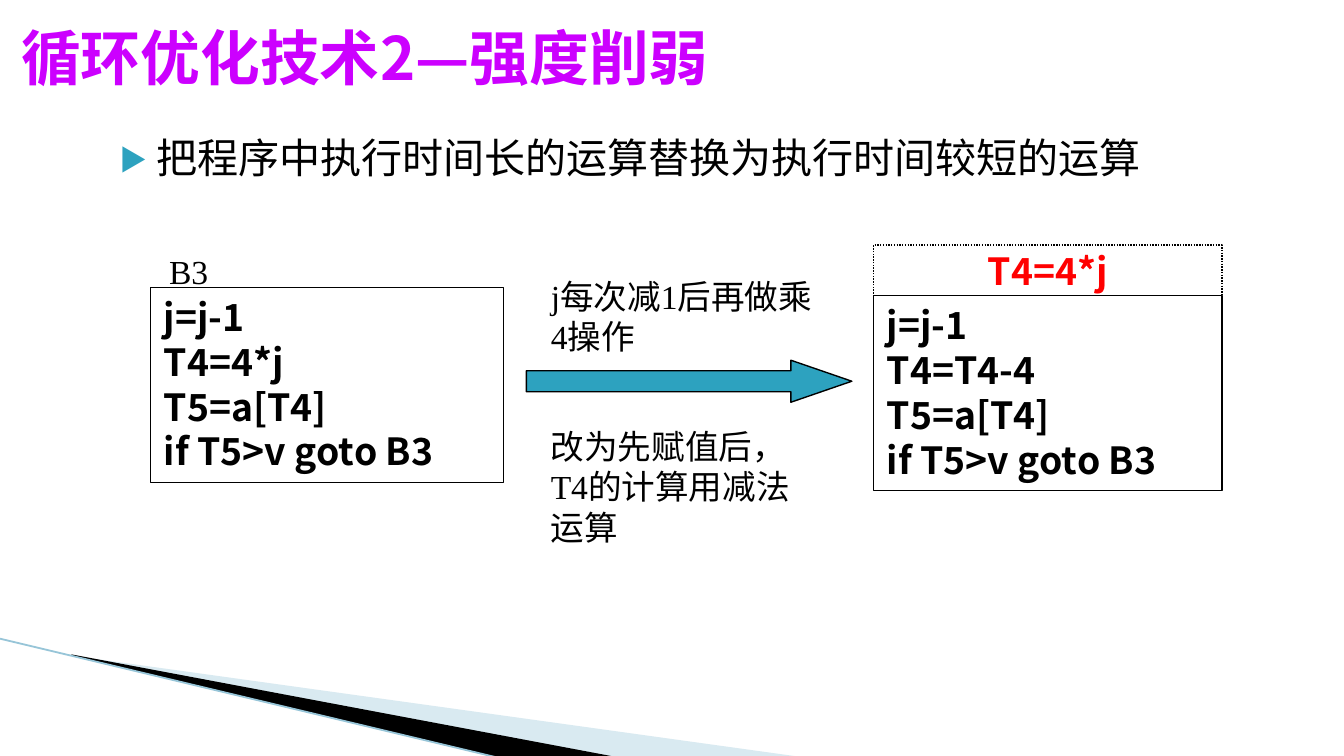
from lxml.etree import SubElement
from pptx import Presentation
from pptx.dml.color import RGBColor
from pptx.enum.dml import MSO_LINE
from pptx.enum.shapes import MSO_CONNECTOR as Connector, MSO_SHAPE as Preset
from pptx.enum.text import MSO_ANCHOR as Anchor, PP_ALIGN as Align
from pptx.oxml.ns import qn
from pptx.util import Pt

SANS, SERIF = "Noto Sans CJK SC", "Times New Roman"
BLACK, TEAL = "000000", "2DA2BF"
CODE = {"size": Pt(20), "name": SANS, "bold": True}
NOTE = {"size": Pt(18), "name": SERIF}


def color(hex_code):
    return RGBColor.from_string(hex_code)


def write(frame, lines, font, hex_code=BLACK, **layout):
    frame.word_wrap = True
    for key, value in layout.items():
        setattr(frame, key, value)
    for index, line in enumerate(lines):
        paragraph = frame.paragraphs[0] if index == 0 else frame.add_paragraph()
        paragraph.alignment = Align.LEFT
        run = paragraph.add_run()
        run.text = line
        for key, value in font.items():
            setattr(run.font, key, value)
        run.font.color.rgb = color(hex_code)
        SubElement(run.font._element, qn("a:ea"), typeface=SANS)


def add_label(slide, place, line, font, hex_code=BLACK, **layout):
    label = slide.shapes.add_textbox(*map(Pt, place))
    write(label.text_frame, [line], font, hex_code, **layout)
    return label.text_frame


def add_outlined(slide, preset, place, fill=None):
    outlined = slide.shapes.add_shape(preset, *map(Pt, place))
    outlined.shadow.inherit = False
    if fill:
        outlined.fill.solid()
        outlined.fill.fore_color.rgb = color(fill)
    else:
        outlined.fill.background()
    outlined.line.color.rgb = color(BLACK)
    outlined.line.width = Pt(0.75)
    return outlined


def add_code(slide, place, lines, hex_code=BLACK, anchor=Anchor.TOP):
    block = add_outlined(slide, Preset.RECTANGLE, place)
    write(block.text_frame, lines, CODE, hex_code, vertical_anchor=anchor)
    return block


def add_wedge(slide, points, fill, opacity=100):
    start, *rest = [(Pt(x), Pt(y)) for x, y in points]
    builder = slide.shapes.build_freeform(*start)
    builder.add_line_segments(rest, close=True)
    wedge = builder.convert_to_shape()
    wedge.shadow.inherit = False
    wedge.line.fill.background()
    wedge.fill.solid()
    wedge.fill.fore_color.rgb = color(fill)
    if opacity < 100:
        tint = wedge._element.spPr.find(qn("a:solidFill"))[0]
        SubElement(tint, qn("a:alpha"), val=str(opacity * 1000))


def add_edge(slide, ends, hex_code, width):
    edge = slide.shapes.add_connector(Connector.STRAIGHT, *map(Pt, ends))
    edge.line.color.rgb = color(hex_code)
    edge.line.width = Pt(width)
    SubElement(edge._element.spPr, qn("a:effectLst"))


def add_bullet_text(slide, place, line):
    frame = add_label(slide, place, line, {"size": Pt(22), "name": SANS})
    paragraph = frame.paragraphs[0]
    paragraph.line_spacing = 0.9
    properties = paragraph._p.get_or_add_pPr()
    properties.set("marL", str(Pt(28.8)))
    properties.set("indent", str(-Pt(20.2)))
    bullet_color = SubElement(properties, qn("a:buClr"))
    SubElement(bullet_color, qn("a:srgbClr"), val=TEAL)
    SubElement(properties, qn("a:buSzPct"), val="68000")
    SubElement(properties, qn("a:buFont"), typeface=SANS)
    SubElement(properties, qn("a:buChar"), char="▶")


def main():
    deck = Presentation()
    deck.slide_width, deck.slide_height = Pt(720), Pt(405)
    slide = deck.slides.add_slide(deck.slide_layouts[6])

    add_wedge(slide, [(39.6, 351.4), (428.4, 405.4), (328.3, 405.4)], "A0CBDC", 40)
    add_wedge(slide, [(38.2, 350.6), (329, 405.4), (267.8, 406), (38.9, 351.4)], BLACK)
    add_edge(slide, (-0.7, 342, 267.1, 406), "97C5D8", 0.95)

    add_label(slide, (4.3, 10, 612, 40.4), "循环优化技术2—强度削弱",
              {"size": Pt(32), "name": SANS, "bold": True}, "CC00FF",
              vertical_anchor=Anchor.MIDDLE)
    add_bullet_text(slide, (48.2, 70.6, 635, 54.7), "把程序中执行时间长的运算替换为执行时间较短的运算")

    for place, product in (((80.7, 154, 189, 104.4), "T4=4*j"),
                           ((468, 158.4, 186.6, 104.4), "T4=T4-4")):
        add_code(slide, place, ["j=j-1", product, "T5=a[T4]", "if T5>v goto B3"])

    arrow = add_outlined(slide, Preset.RIGHT_ARROW, (282, 193, 174.4, 22.5), TEAL)
    arrow.adjustments[0], arrow.adjustments[1] = 0.5, 1.45

    for place, line in (((83.5, 131, 66.2, 28.8), "B3"),
                        ((288, 144, 156.2, 51.1), "j每次减1后再做乘4操作"),
                        ((288, 224.6, 144, 72.7), "改为先赋值后，T4的计算用减法运算")):
        add_label(slide, place, line, NOTE)

    preheader = add_code(slide, (468, 131.3, 186.6, 27.1), ["T4=4*j"], "FF0000", Anchor.MIDDLE)
    preheader.line.dash_style = MSO_LINE.ROUND_DOT
    preheader.text_frame.word_wrap = False
    preheader.text_frame.paragraphs[0].alignment = Align.CENTER

    deck.save("out.pptx")


if __name__ == "__main__":
    main()
